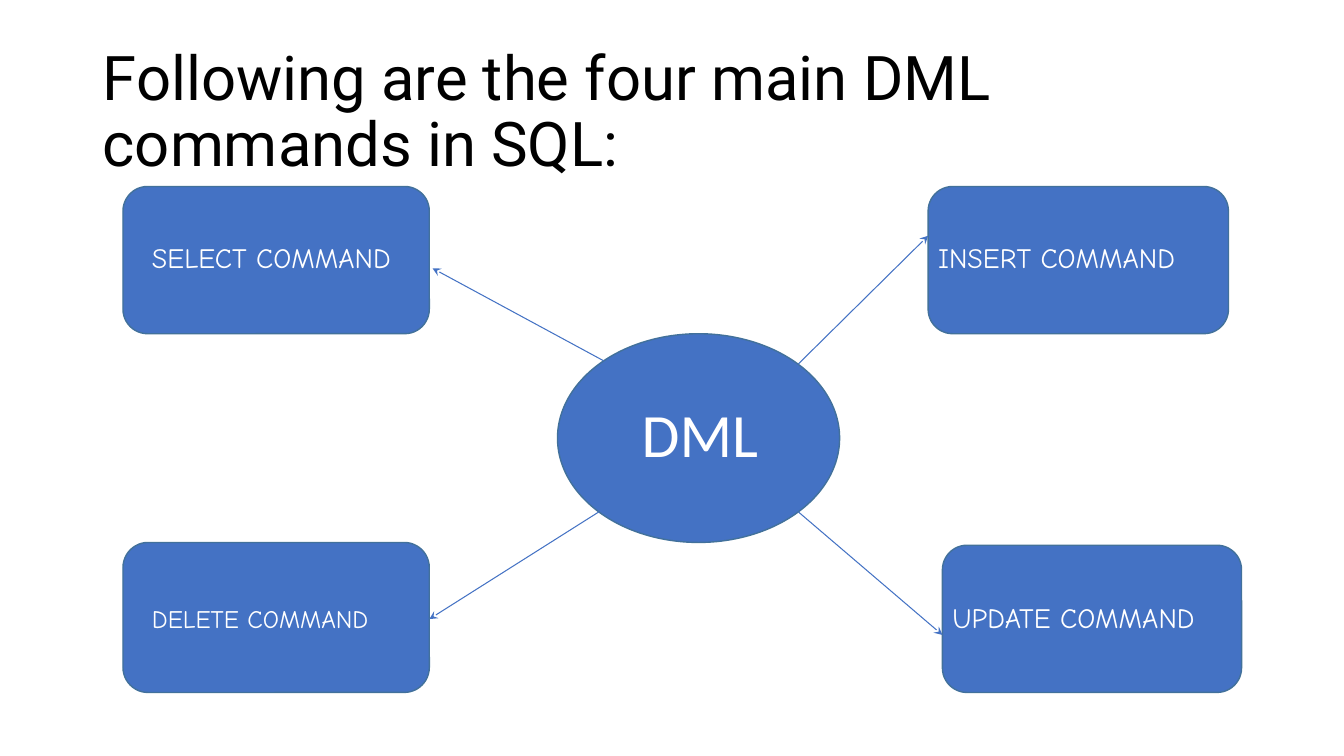
from dataclasses import dataclass

from lxml import etree
from pptx import Presentation
from pptx.dml.color import RGBColor
from pptx.enum import shapes, text
from pptx.oxml.ns import qn
from pptx.util import Cm, Pt


@dataclass(frozen=True)
class Theme:
    fill: str = "4472C4"
    outline: str = "42719B"
    ink: str = "000000"
    on_fill: str = "FFFFFF"
    title_font: str = "Roboto"
    hub_font: str = "Calibri"
    command_font: str = "Comic Neue"
    large: int = 44
    medium: int = 20
    small: int = 18
    outline_width: float = 1
    arrow_width: float = 0.75


THEME = Theme()

# Lengths in cm; areas are (left, top, width, height), arrows (from, to).
TITLE = ("Following are the four main DML commands in SQL:", (2.34, 1.02, 29.21, 3.68))
HUB = ("DML", (14.05, 8.41, 7.11, 5.26), (14.58, 9.86, 6.12, 2.13))
COMMANDS = [
    dict(name="INSERT COMMAND", box=(23.39, 4.7, 7.57, 3.71),
         label=(23.39, 5.94, 7.57, 1.12), size=THEME.medium,
         arrow=((20.12, 9.17), (23.39, 5.94))),
    dict(name="UPDATE COMMAND", box=(23.75, 13.74, 7.54, 3.71),
         label=(23.75, 15.01, 7.8, 1.12), size=THEME.medium,
         arrow=((20.12, 12.9), (23.75, 16))),
    dict(name="DELETE COMMAND", box=(3.1, 13.67, 7.72, 3.78),
         label=(3.58, 15.09, 6.58, 1.02), size=THEME.small,
         arrow=((15.09, 12.9), (10.82, 15.6))),
    dict(name="SELECT COMMAND", box=(3.1, 4.7, 7.72, 3.71),
         label=(3.58, 5.94, 7.32, 1.12), size=THEME.medium,
         arrow=((15.21, 9.09), (10.9, 6.76))),
]


def in_cm(lengths):
    return [Cm(length) for length in lengths]


def add_text(slide, content, area, *, font, size, color=THEME.on_fill,
             align=text.PP_ALIGN.LEFT, anchor=text.MSO_ANCHOR.TOP, spacing=1.0):
    frame = slide.shapes.add_textbox(*in_cm(area)).text_frame
    frame.word_wrap = True
    frame.vertical_anchor = anchor
    paragraph = frame.paragraphs[0]
    paragraph.alignment = align
    paragraph.line_spacing = spacing
    run = paragraph.add_run()
    run.text = content
    run.font.name = font
    run.font.size = Pt(size)
    run.font.color.rgb = RGBColor.from_string(color)


def add_panel(slide, kind, area):
    """Add a filled, outlined shape without a shadow."""
    shape = slide.shapes.add_shape(kind, *in_cm(area))
    shape.shadow.inherit = False
    shape.fill.solid()
    shape.fill.fore_color.rgb = RGBColor.from_string(THEME.fill)
    shape.line.color.rgb = RGBColor.from_string(THEME.outline)
    shape.line.width = Pt(THEME.outline_width)


def add_arrow(slide, start, end):
    connector = slide.shapes.add_connector(
        shapes.MSO_CONNECTOR.STRAIGHT, *in_cm(start), *in_cm(end))
    connector.line.color.rgb = RGBColor.from_string(THEME.fill)
    connector.line.width = Pt(THEME.arrow_width)
    etree.SubElement(connector.line._get_or_add_ln(), qn("a:tailEnd"), type="stealth")
    etree.SubElement(connector._element.spPr, qn("a:effectLst"))


def main():
    presentation = Presentation()
    presentation.slide_width, presentation.slide_height = Cm(33.87), Cm(19.05)
    slide = presentation.slides.add_slide(presentation.slide_layouts[6])

    add_text(slide, *TITLE, font=THEME.title_font, size=THEME.large, color=THEME.ink,
             anchor=text.MSO_ANCHOR.MIDDLE, spacing=0.9)

    hub_name, hub_area, hub_label = HUB
    add_panel(slide, shapes.MSO_SHAPE.OVAL, hub_area)
    add_text(slide, hub_name, hub_label, font=THEME.hub_font, size=THEME.large,
             align=text.PP_ALIGN.CENTER)

    for command in COMMANDS:
        add_panel(slide, shapes.MSO_SHAPE.ROUNDED_RECTANGLE, command["box"])
        add_arrow(slide, *command["arrow"])
        add_text(slide, command["name"], command["label"],
                 font=THEME.command_font, size=command["size"])

    presentation.save("out.pptx")


if __name__ == "__main__":
    main()
